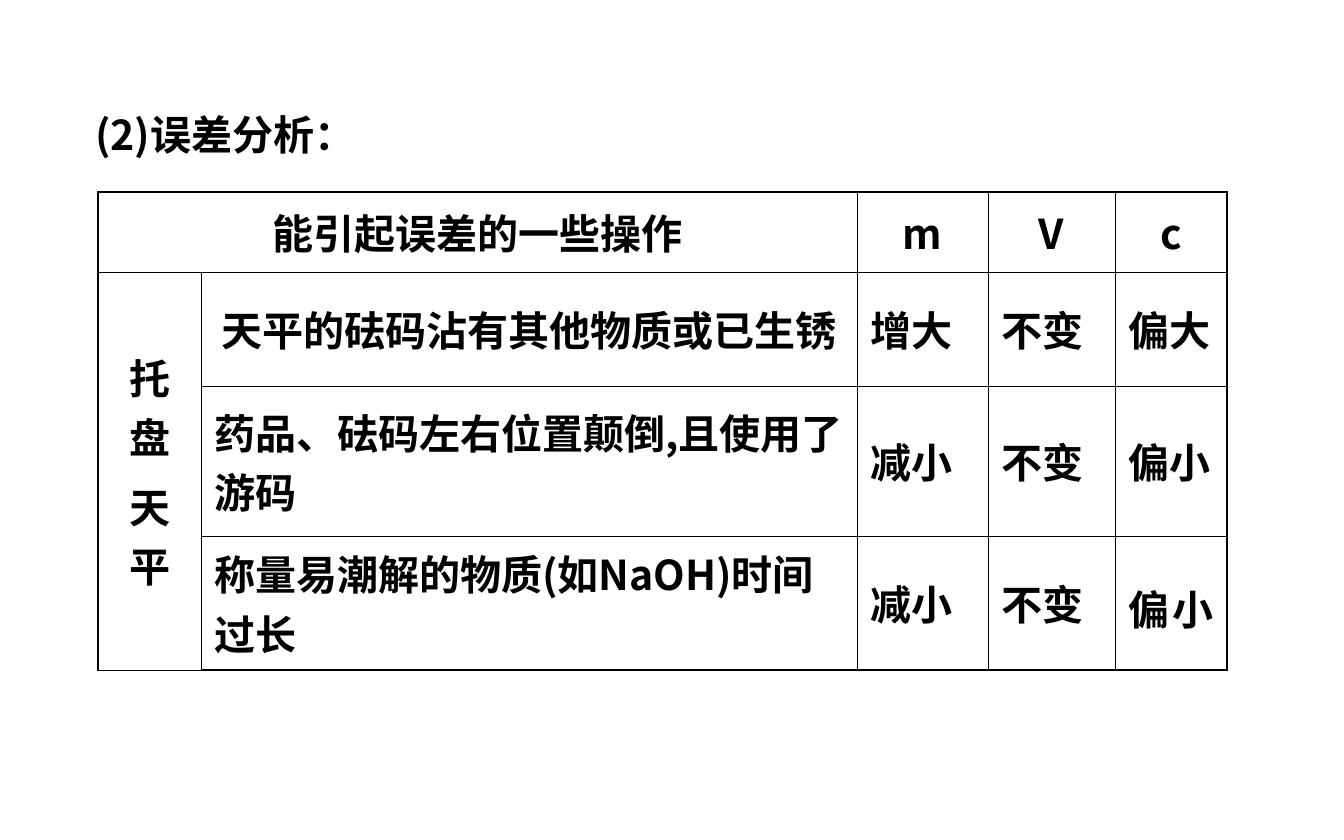
from dataclasses import dataclass

from lxml import etree
from pptx import Presentation, util as u
from pptx.dml.color import RGBColor
from pptx.enum import text
from pptx.oxml.ns import qn

PX = 914400 / 134.4
LEFT, CENTER, JUSTIFY = text.PP_ALIGN.LEFT, text.PP_ALIGN.CENTER, text.PP_ALIGN.JUSTIFY


@dataclass
class Theme:
    ink: str = "000000"
    font: str = "Noto Sans CJK SC"
    size: float = 22
    space_font: str = "Arial"
    space_size: float = 28
    space_before: float = 5.5
    justified_before: float = 7
    outer: float = 1.08
    inner: float = 0.45


def px(length):
    return u.Emu(round(length * PX))


class Page:
    def __init__(self, deck, theme):
        self.theme = theme
        self.slide = deck.slides.add_slide(deck.slide_layouts[6])

    def style(self, para, align=LEFT):
        para.alignment = align
        font = para.font
        font.size = u.Pt(self.theme.size)
        font.bold = True
        font.color.rgb = RGBColor.from_string(self.theme.ink)
        font.name = self.theme.font
        defaults = para._p.pPr.find(qn("a:defRPr"))
        etree.SubElement(defaults, qn("a:ea")).set("typeface", self.theme.font)

    def heading(self, words, left, top, width, height):
        box = self.slide.shapes.add_textbox(px(left), px(top), px(width), px(height))
        frame = box.text_frame
        frame.word_wrap = True
        frame.auto_size = text.MSO_AUTO_SIZE.SHAPE_TO_FIT_TEXT
        para = frame.paragraphs[0]
        para.text = words
        para.line_spacing = 1.5
        self.style(para)

    def borders(self, cell, widths):
        props = cell._tc.get_or_add_tcPr()
        for index, (side, width) in enumerate(widths.items()):
            line = etree.Element(qn(f"a:ln{side}"), w=str(u.Pt(width)))
            fill = etree.SubElement(line, qn("a:solidFill"))
            etree.SubElement(fill, qn("a:srgbClr"), val=self.theme.ink)
            props.insert(index, line)

    def label(self, cell, words, align):
        cell.text = words
        for para in cell.text_frame.paragraphs:
            para.space_before = u.Pt(self.theme.space_before)
            self.style(para, align)

    def justify_with_space(self, cell):
        para = cell.text_frame.paragraphs[0]
        para.alignment = JUSTIFY
        para.space_before = u.Pt(self.theme.justified_before)
        span = para.add_run()
        span.text = " "
        span.font.size = u.Pt(self.theme.space_size)
        span.font.name = self.theme.space_font
        span.font.bold = False

    def table(self, rows, merges, centered, left, top, widths, heights):
        frame = self.slide.shapes.add_table(
            len(heights), len(widths), px(left), px(top), px(sum(widths)), px(sum(heights)))
        grid = frame.table
        grid.first_row = grid.horz_banding = False
        for column, width in zip(grid.columns, widths):
            column.width = px(width)
        for row, height in zip(grid.rows, heights):
            row.height = px(height)
        last_row, last_column = len(heights) - 1, len(widths) - 1
        for r, row in enumerate(rows):
            for c, words in enumerate(row):
                cell = grid.cell(r, c)
                cell.vertical_anchor = text.MSO_ANCHOR.MIDDLE
                cell.fill.background()
                edges = {"L": c == 0, "R": c == last_column, "T": r == 0, "B": r == last_row}
                self.borders(cell, {side: self.theme.outer if edge else self.theme.inner
                                    for side, edge in edges.items()})
                if words:
                    self.label(cell, words, CENTER if (r, c) in centered else LEFT)
        for start, end in merges:
            grid.cell(*start).merge(grid.cell(*end))
        return grid


def main():
    deck = Presentation()
    deck.slide_width, deck.slide_height = px(1344), px(840)
    page = Page(deck, Theme())
    page.heading("(2)误差分析：", 82, 78, 337, 87)
    rows = [
        ["能引起误差的一些操作", "", "m", "V", "c"],
        ["托盘\n天平", "天平的砝码沾有其他物质或已生锈", "增大", "不变", "偏大"],
        ["", "药品、砝码左右位置颠倒,且使用了游码", "减小", "不变", "偏小"],
        ["", "称量易潮解的物质(如NaOH)时间过长", "减小", "不变", "偏小"],
    ]
    merges = [((0, 0), (0, 1)), ((1, 0), (3, 0))]
    centered = {(0, c) for c in range(5)} | {(1, 0), (1, 1)}
    grid = page.table(rows, merges, centered, 98, 192,
                      [103, 656, 131, 127, 112], [80, 114, 150, 134])
    page.justify_with_space(grid.cell(3, 4))
    deck.save("out.pptx")


if __name__ == "__main__":
    main()
